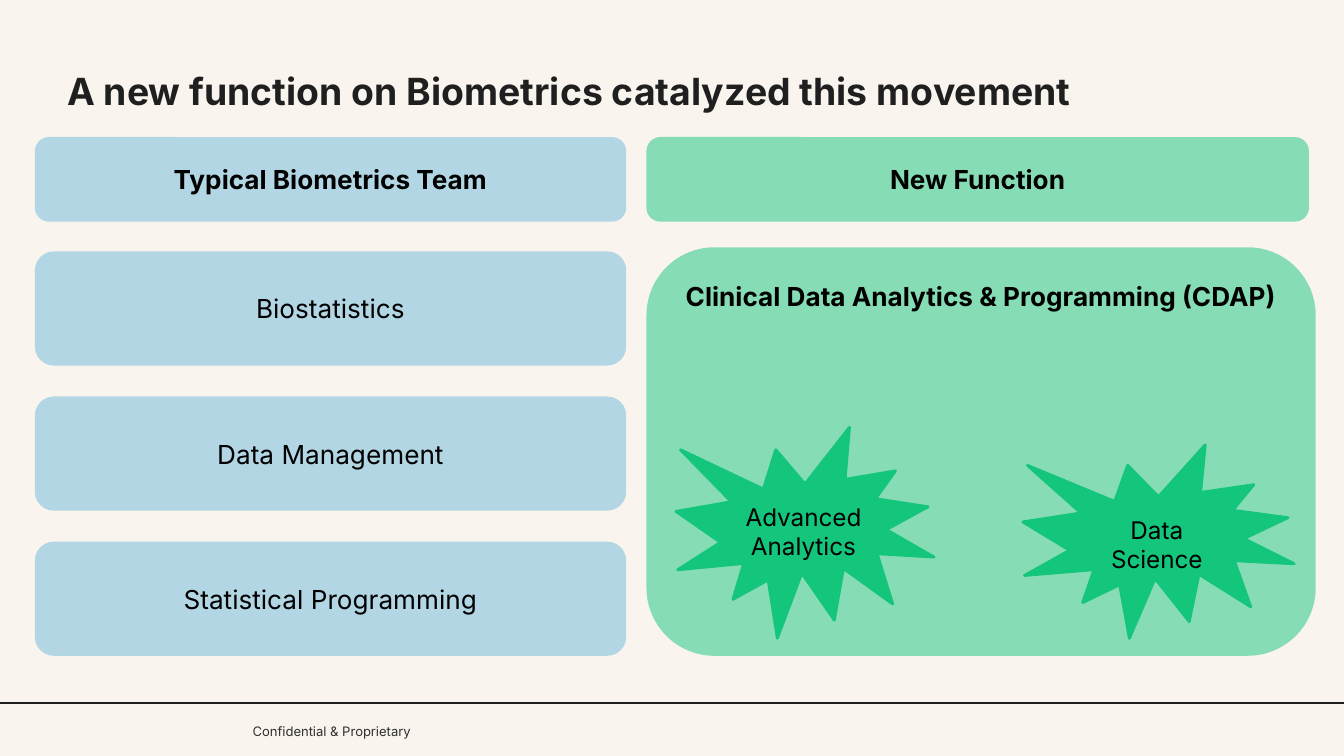
from dataclasses import dataclass
from typing import Optional

from pptx import Presentation
from pptx.dml.color import RGBColor
from pptx.enum.shapes import MSO_CONNECTOR, MSO_SHAPE
from pptx.enum.text import MSO_ANCHOR as Anchor, PP_ALIGN as Align
from pptx.oxml.ns import qn
from pptx.util import Inches, Pt
from lxml.etree import SubElement

FONT = "Inter"
CREAM = RGBColor(0xFA, 0xF4, 0xEE)
INK = RGBColor(0x1F, 0x1F, 0x1F)
GRAY = RGBColor(0x30, 0x30, 0x30)
BLACK = RGBColor(0, 0, 0)
BLUE = RGBColor(0x57, 0xB1, 0xD8)
GREEN = RGBColor(0x14, 0xC5, 0x7C)

WIDTH = 10
HEIGHT = WIDTH * 9 / 16
LEFT, RIGHT = 0.26, 4.81
TEAM_W = 4.4
HEAD_TOP, HEAD_H = 1.02, 0.63
ROW_TOP, ROW_H, ROW_STEP = 1.87, 0.85, 1.08


@dataclass
class Card:
    text: str
    left: float
    top: float
    width: float
    height: float
    color: RGBColor
    alpha: int
    bold: bool = False
    anchor: Anchor = Anchor.MIDDLE


@dataclass
class Burst:
    text: str
    left: float
    top: float
    width: float
    height: float


TEAMS = ["Biostatistics", "Data Management", "Statistical Programming"]
CARDS = [
    Card("Typical Biometrics Team", LEFT, HEAD_TOP, TEAM_W, HEAD_H, BLUE, 44, True),
    Card("New Function", RIGHT, HEAD_TOP, 4.93, HEAD_H, GREEN, 50, True),
    Card("Clinical Data Analytics & Programming (CDAP)", RIGHT, 1.84, 4.98, 3.04,
         GREEN, 50, True, Anchor.TOP),
] + [
    Card(team, LEFT, ROW_TOP + i * ROW_STEP, TEAM_W, ROW_H, BLUE, 44)
    for i, team in enumerate(TEAMS)
]
BURSTS = [
    Burst("Advanced Analytics", 5.03, 3.18, 1.92, 1.57),
    Burst("Data Science", 7.61, 3.31, 2.02, 1.44),
]


def write(shape, text: str, *, size: float, color: RGBColor = BLACK,
          bold: bool = False, align: Optional[Align] = Align.CENTER,
          anchor: Anchor = Anchor.TOP, inset: float = 0.1) -> None:
    frame = shape.text_frame
    frame.word_wrap = True
    frame.vertical_anchor = anchor
    frame.margin_left = frame.margin_right = Inches(inset)
    frame.margin_top = frame.margin_bottom = Inches(inset)
    para = frame.paragraphs[0]
    para.alignment = align
    run = para.add_run()
    run.text = text
    font = run.font
    font.name, font.size, font.bold = FONT, Pt(size), bold
    font.color.rgb = color


def add_filled(slide, kind: MSO_SHAPE, item, color: RGBColor):
    shape = slide.shapes.add_shape(kind, Inches(item.left), Inches(item.top),
                                   Inches(item.width), Inches(item.height))
    shape.shadow.inherit = False
    shape.fill.solid()
    shape.fill.fore_color.rgb = color
    return shape


def add_card(slide, card: Card) -> None:
    shape = add_filled(slide, MSO_SHAPE.ROUNDED_RECTANGLE, card, card.color)
    shape.line.fill.background()
    tint = shape._element.spPr.find(qn("a:solidFill"))[0]
    SubElement(tint, qn("a:alpha"), val=str(card.alpha * 1000))
    write(shape, card.text, size=14, bold=card.bold, anchor=card.anchor)


def add_burst(slide, burst: Burst) -> None:
    shape = add_filled(slide, MSO_SHAPE.EXPLOSION1, burst, GREEN)
    shape.line.color.rgb = GREEN
    shape.line.width = Pt(1.5)
    SubElement(shape._element.spPr.find(qn("a:ln")), qn("a:round"))
    write(shape, burst.text, size=13)


def add_label(slide, text: str, left: float, top: float, width: float,
              height: float, **style) -> None:
    box = slide.shapes.add_textbox(Inches(left), Inches(top),
                                   Inches(width), Inches(height))
    write(box, text, align=Align.LEFT, inset=0, **style)


def add_rule(slide, left: float, right: float, top: float) -> None:
    rule = slide.shapes.add_connector(MSO_CONNECTOR.STRAIGHT, Inches(left),
                                      Inches(top), Inches(right), Inches(top))
    rule.line.color.rgb = INK
    rule.line.width = Pt(0.75)
    SubElement(rule._element.spPr, qn("a:effectLst"))


def main() -> None:
    deck = Presentation()
    deck.slide_width, deck.slide_height = Inches(WIDTH), Inches(HEIGHT)
    slide = deck.slides.add_slide(deck.slide_layouts[6])
    slide.background.fill.solid()
    slide.background.fill.fore_color.rgb = CREAM

    add_label(slide, "Confidential & Proprietary", 1.88, 5.24, 1.38, 0.4,
              size=7, color=GRAY, anchor=Anchor.MIDDLE)
    add_rule(slide, -0.01, 10.02, 5.23)
    add_label(slide, "A new function on Biometrics catalyzed this movement",
              0.5, 0.51, 8.86, 0.63, size=20, color=INK, bold=True)
    for card in CARDS:
        add_card(slide, card)
    for burst in BURSTS:
        add_burst(slide, burst)
    deck.save("out.pptx")


if __name__ == "__main__":
    main()
